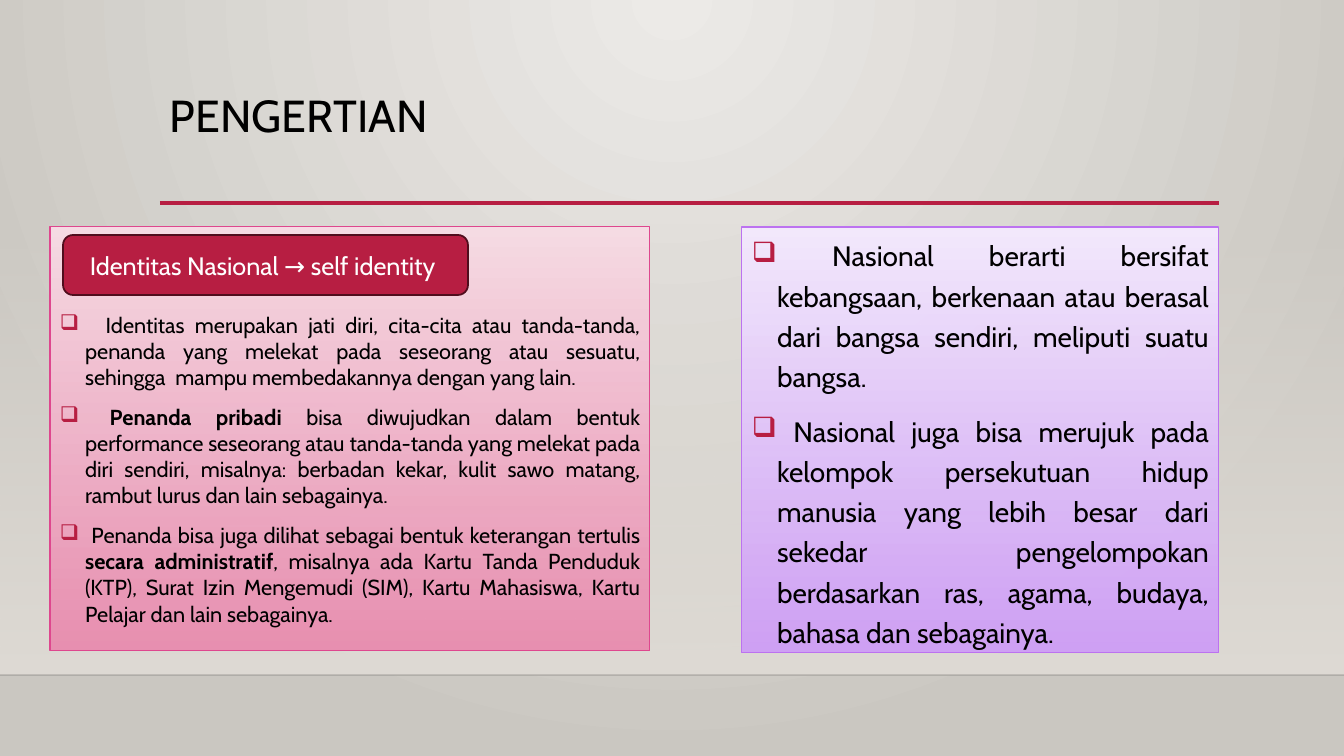
from lxml import etree
from pptx import Presentation
from pptx import util as u
from pptx.dml.color import RGBColor
from pptx.enum import shapes, text
from pptx.oxml import ns

COLORS = {
    "ink": "000000", "white": "FFFFFF", "accent": "B71E42", "accent_dark": "500D1D",
    "wall_light": "ECEAE7", "wall_dark": "CAC7C1", "floor": "DFDBD5", "edge": "000001",
    "pink_light": "F7DCE5", "pink": "EA8AAE", "pink_line": "DE478E",
    "violet_light": "F4EAFD", "violet": "CE9CF7", "violet_line": "BC72F0",
}
IDENTITY = [
    "  Identitas merupakan jati diri, cita-cita atau tanda-tanda, penanda yang melekat "
    "pada seseorang atau sesuatu, sehingga  mampu membedakannya dengan yang lain. ",
    " *Penanda pribadi *bisa diwujudkan dalam bentuk performance seseorang atau "
    "tanda-tanda yang melekat pada diri sendiri, misalnya: berbadan kekar, kulit sawo "
    "matang, rambut lurus dan lain sebagainya.",
    " Penanda bisa juga dilihat sebagai bentuk keterangan tertulis *secara administratif*"
    ", misalnya ada Kartu Tanda Penduduk (KTP), Surat Izin Mengemudi (SIM), Kartu "
    "Mahasiswa, Kartu Pelajar dan lain sebagainya. ",
]
NATIONAL = [
    " Nasional berarti bersifat kebangsaan, berkenaan atau berasal dari bangsa sendiri, "
    "meliputi suatu bangsa. ",
    " Nasional juga bisa merujuk pada kelompok persekutuan hidup manusia yang lebih "
    "besar dari sekedar pengelompokan berdasarkan ras, agama, budaya, bahasa dan "
    "sebagainya. ",
]


def px(value):
    return u.Emu(round(value * 914400 / 100.8))


def add(parent, tag, **attributes):
    child = etree.SubElement(parent, ns.qn(tag))
    for name, value in attributes.items():
        child.set(name, str(value))
    return child


class Deck:
    """Holds the style and the slide being drawn."""

    def __init__(self, font):
        self.font = font
        self.presentation = Presentation()
        self.presentation.slide_width = px(1344)
        self.presentation.slide_height = px(756)
        self.slide = self.presentation.slides.add_slide(self.presentation.slide_layouts[6])

    def color(self, name):
        return RGBColor.from_string(COLORS[name])

    def gradient(self, holder, stops, circle=False):
        solid = holder.find(ns.qn("a:solidFill"))
        fill = etree.Element(ns.qn("a:gradFill"), rotWithShape="1")
        stop_list = add(fill, "a:gsLst")
        for position, (name, opacity) in zip((0, 100000), stops):
            stop = add(stop_list, "a:gs", pos=position)
            color = add(stop, "a:srgbClr", val=COLORS[name])
            if opacity < 100:
                add(color, "a:alpha", val=opacity * 1000)
        if circle:
            shade = add(fill, "a:path", path="circle")
            add(shade, "a:fillToRect", l=43000, t=0, r=43000, b=100000)
        else:
            add(fill, "a:lin", ang=5400000, scaled=0)
        holder.replace(solid, fill)

    def background(self, *stops):
        self.slide.background.fill.solid()
        self.gradient(self.slide.element.find(".//" + ns.qn("p:bgPr")), stops, circle=True)

    def box(self, area, fill, line=None, width=0.75, kind=shapes.MSO_SHAPE.RECTANGLE):
        shape = self.slide.shapes.add_shape(kind, *map(px, area))
        shape.shadow.inherit = False
        shape.fill.solid()
        if isinstance(fill, str):
            shape.fill.fore_color.rgb = self.color(fill)
        else:
            self.gradient(shape.element.spPr, fill)
        if line:
            shape.line.color.rgb = self.color(line)
            shape.line.width = u.Pt(width)
        else:
            shape.line.fill.background()
        return shape

    def rule(self, left, right, y, color, width, opacity=100):
        line = self.slide.shapes.add_connector(
            shapes.MSO_CONNECTOR.STRAIGHT, px(left), px(y), px(right), px(y))
        line.line.color.rgb = self.color(color)
        line.line.width = u.Pt(width)
        if opacity < 100:
            add(line.element.spPr.find(".//" + ns.qn("a:srgbClr")), "a:alpha", val=opacity * 1000)
        add(line.element.spPr, "a:effectLst")

    def style(self, run, size, color, bold=False):
        run.font.name = self.font
        run.font.size = u.Pt(size)
        run.font.bold = bold
        run.font.color.rgb = self.color(color)

    def title(self, area, words, size):
        frame = self.slide.shapes.add_textbox(*map(px, area)).text_frame
        frame.word_wrap = True
        frame.text = words
        frame.paragraphs[0].line_spacing = 0.9
        self.style(frame.paragraphs[0].runs[0], size, "ink")

    def label(self, area, words, size):
        shape = self.box(area, "accent", "accent_dark", 1.25, shapes.MSO_SHAPE.ROUNDED_RECTANGLE)
        frame = shape.text_frame
        frame.text = words
        frame.vertical_anchor = text.MSO_ANCHOR.MIDDLE
        frame.paragraphs[0].alignment = text.PP_ALIGN.CENTER
        self.style(frame.paragraphs[0].runs[0], size, "white")

    def panel(self, area, fill, line, items, size, spacing=1.0, top=5):
        frame = self.box(area, fill, line).text_frame
        frame.word_wrap = True
        frame.vertical_anchor = text.MSO_ANCHOR.TOP
        frame.margin_top = px(top)
        for index, item in enumerate(items):
            paragraph = frame.add_paragraph() if index else frame.paragraphs[0]
            paragraph.alignment = text.PP_ALIGN.JUSTIFY
            paragraph.line_spacing = spacing
            paragraph.space_before = u.Pt(10 if index else 0)
            self.bullet(paragraph)
            for part, words in enumerate(item.split("*")):
                run = paragraph.add_run()
                run.text = words
                self.style(run, size, "ink", bold=part % 2 == 1)

    def bullet(self, paragraph):
        properties = paragraph._p.get_or_add_pPr()
        properties.set("marL", str(u.Inches(0.25)))
        properties.set("indent", str(-u.Inches(0.25)))
        add(add(properties, "a:buClr"), "a:srgbClr", val=COLORS["accent"])
        add(properties, "a:buChar", char="❑")


def main():
    deck = Deck("Cabin")
    deck.background(("wall_light", 100), ("wall_dark", 100))
    deck.box((0, 223, 1344, 452), [("floor", 0), ("floor", 100)])
    deck.rule(0, 1344, 675, "edge", 1, opacity=20)
    deck.rule(160, 1219, 203, "accent", 2.5)
    deck.title((160, 89, 1058, 115), "PENGERTIAN", 32)
    deck.panel((50, 227, 600, 424), [("pink_light", 100), ("pink", 92)], "pink_line",
               IDENTITY, 15.5, top=85)
    deck.label((63, 235, 405, 60), "Identitas Nasional → self identity ", 18)
    deck.panel((742, 227, 477, 426), [("violet_light", 100), ("violet", 92)], "violet_line",
               NATIONAL, 20, spacing=1.2)
    deck.presentation.save("out.pptx")


if __name__ == "__main__":
    main()
